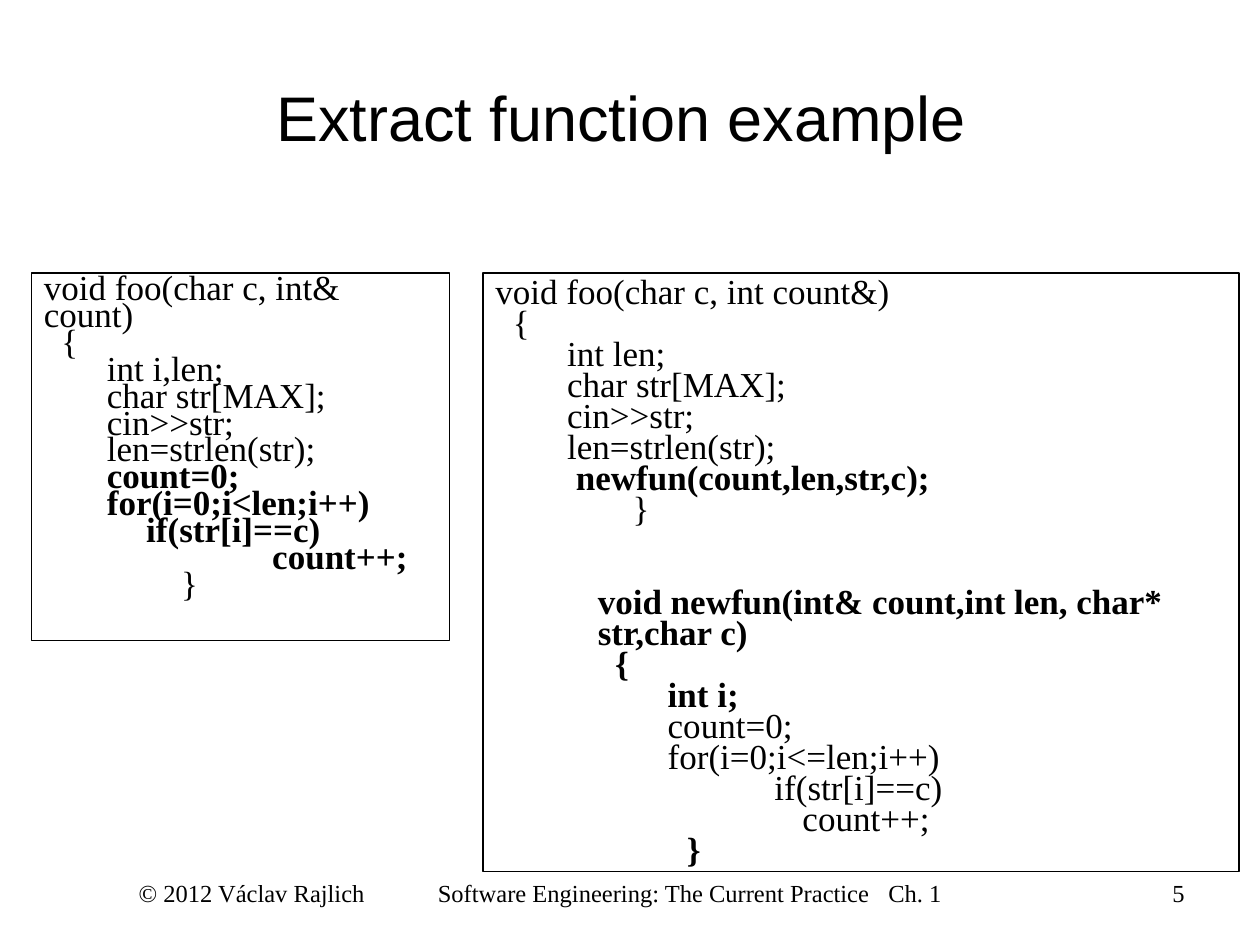
from pptx import Presentation
from pptx import util as u
from pptx.dml.color import RGBColor
from pptx.enum import shapes, text
from lxml import etree

COLORS = {"ink": "000000", "paper": "FFFFFF"}
SERIF, SANS = "Times New Roman", "Arial"

prs = Presentation()
prs.slide_width, prs.slide_height = u.Inches(10), u.Inches(7.5)
CELL = prs.slide_width / 120  # grid of 120 columns by 90 rows
slide = prs.slides.add_slide(prs.slide_layouts[6])
ink = RGBColor.from_string(COLORS["ink"])
slide.background.fill.solid()
slide.background.fill.fore_color.rgb = RGBColor.from_string(COLORS["paper"])


def cells(count):
    return u.Emu(round(count * CELL))


def style(paragraph, size, face, bold=False):
    for run in paragraph.runs:
        run.font.size, run.font.name, run.font.bold = u.Pt(size), face, bold
        run.font.color.rgb = ink


# Code margins in columns: plain, body, after body, and one and two tabs further
PLAIN, BODY, DEEP = 0, 6, 9.75
TAB1, TAB2 = DEEP + 6, DEEP + 12

# Each line of code: margin, text, bold, blank lines before
before = [
    (PLAIN, "void foo(char c, int& count)", False, 0),
    (PLAIN, "  {", False, 0),
    (BODY, "int i,len;", False, 0),
    (BODY, "char str[MAX];", False, 0),
    (BODY, "cin>>str;", False, 0),
    (BODY, "len=strlen(str);", False, 0),
    (BODY, "count=0;", True, 0),
    (BODY, "for(i=0;i<len;i++)", True, 0),
    (DEEP, "if(str[i]==c)", True, 0),
    (TAB2, "count++;", True, 0),
    (DEEP, "    }", False, 0),
]
after = [
    (PLAIN, "void foo(char c, int count&)", False, 0),
    (PLAIN, "  {", False, 0),
    (BODY, " int len;", False, 0),
    (BODY, " char str[MAX];", False, 0),
    (BODY, " cin>>str;", False, 0),
    (BODY, " len=strlen(str);", False, 0),
    (BODY, "  newfun(count,len,str,c);", True, 0),
    (DEEP, "    }", False, 0),
    (DEEP, "void newfun(int& count,int len, char* str,char c)", True, 2),
    (DEEP, "  {", True, 0),
    (DEEP, "        int i;", True, 0),
    (DEEP, "        count=0;", False, 0),
    (DEEP, "        for(i=0;i<=len;i++)", False, 0),
    (TAB1, "             if(str[i]==c)", False, 0),
    (TAB2, "         count++;", False, 0),
    (TAB1, "   }", True, 0),
]

# Framed code before and after the extraction
for left, width, height, spacing, code in (
    (3, 39.8, 35, 0.64, before),
    (46, 72, 57, 0.74, after),
):
    listing = slide.shapes.add_shape(
        shapes.MSO_SHAPE.RECTANGLE, cells(left), cells(26), cells(width), cells(height))
    listing.shadow.inherit = False
    listing.fill.background()
    listing.line.color.rgb = ink
    listing.line.width = u.Pt(0.75)
    frame = listing.text_frame
    frame.word_wrap = True
    frame.vertical_anchor = text.MSO_ANCHOR.TOP
    frame.text = "\n".join(line for _, line, _, _ in code)
    for paragraph, (margin, _, bold, gap) in zip(frame.paragraphs, code):
        paragraph.alignment = text.PP_ALIGN.LEFT
        paragraph.line_spacing = spacing
        if gap:
            paragraph.space_before = u.Pt(gap * 17.5)
        props = paragraph._p.get_or_add_pPr()
        props.set("marL", str(cells(margin)))
        props.set("indent", "0")
        style(paragraph, 20, SERIF, bold)

# Title, footer and page number
ALIGN = text.PP_ALIGN
for wording, box, inset, align, spacing, size, face, tabs in (
    ("Extract function example ", (6, 3.6, 108, 15), 1.2, ALIGN.CENTER, 1, 36, SANS, ()),
    ("© 2012 Václav Rajlich\tSoftware Engineering: The Current Practice\tCh. 1",
     (6, 83.75, 91, 6.25), 7.2, ALIGN.LEFT, 0.74, 14, SERIF, (28.5, 71.4)),
    ("5", (86, 83.75, 28, 6.25), 1.2, ALIGN.RIGHT, 0.74, 14, SERIF, ()),
):
    label = slide.shapes.add_textbox(*map(cells, box))
    frame = label.text_frame
    frame.word_wrap = True
    frame.margin_left = cells(inset)
    if face == SANS:
        frame.vertical_anchor = text.MSO_ANCHOR.MIDDLE
    frame.text = wording
    paragraph = frame.paragraphs[0]
    paragraph.alignment = align
    paragraph.line_spacing = spacing
    if tabs:
        props = paragraph._p.get_or_add_pPr()
        space = "{%s}" % props.nsmap["a"]
        stops = etree.SubElement(props, space + "tabLst")
        for stop in tabs:
            etree.SubElement(stops, space + "tab", pos=str(cells(stop)), algn="l")
    style(paragraph, size, face)

prs.save("out.pptx")
